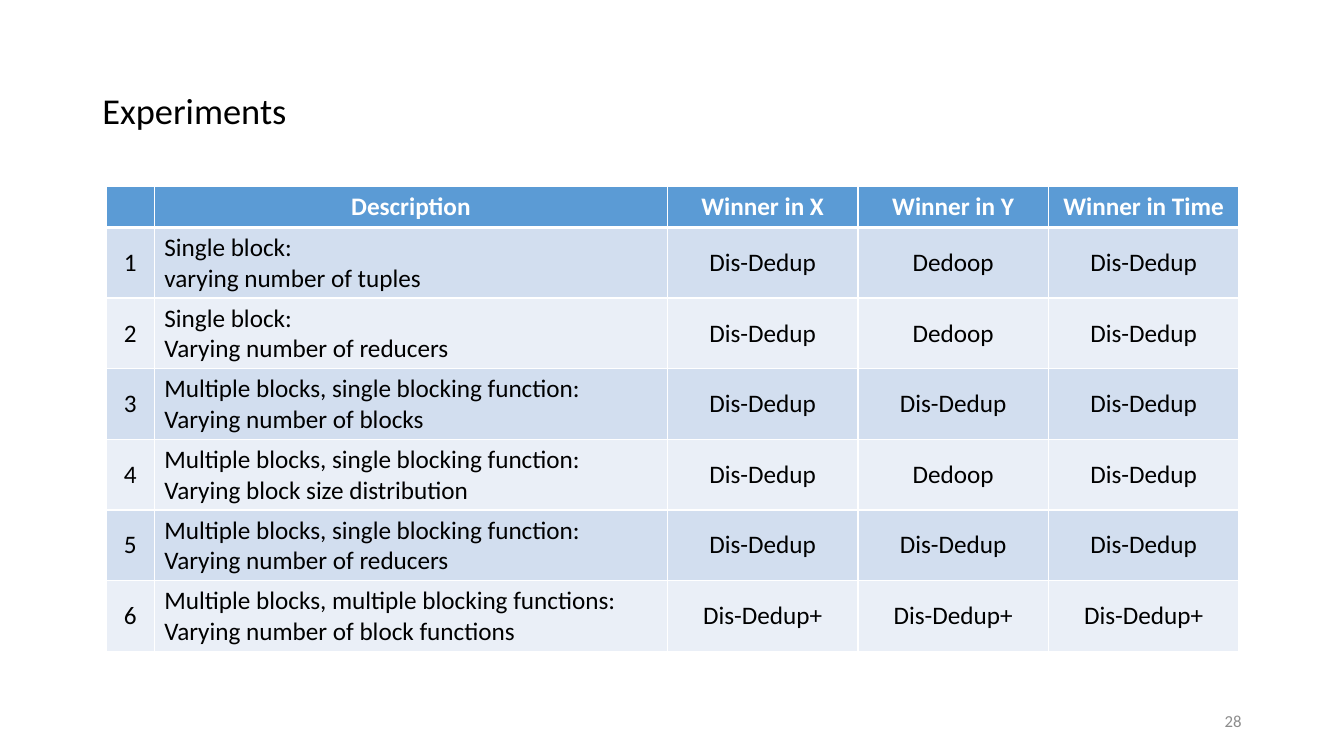
from lxml import etree
from pptx import Presentation
from pptx.dml.color import RGBColor
from pptx.enum.text import MSO_ANCHOR, PP_ALIGN
from pptx.oxml.ns import qn
from pptx.util import Cm, Pt

LEFT, CENTER, RIGHT = PP_ALIGN.LEFT, PP_ALIGN.CENTER, PP_ALIGN.RIGHT
MIDDLE = MSO_ANCHOR.MIDDLE
FONT = "Calibri"
COLORS = {
    "text": "000000",
    "white": "FFFFFF",
    "number": "8C8C8C",
    "header": "5B9BD5",
    "odd": "D2DEEF",
    "even": "EAEFF7",
}
COLUMN_WIDTHS = [1.22, 12.93, 4.8, 4.8, 4.8]
HEADER_HEIGHT, ROW_HEIGHT = 1.03, 1.78
HEADER = ["", "Description", "Winner in X", "Winner in Y", "Winner in Time"]
SINGLE = "Single block:"
MULTIPLE = "Multiple blocks, single blocking function:"
FUNCTIONS = "Multiple blocks, multiple blocking functions:"
DIS, DEDOOP, PLUS = "Dis-Dedup", "Dedoop", "Dis-Dedup+"
EXPERIMENTS = [
    (SINGLE, "varying number of tuples", DIS, DEDOOP, DIS),
    (SINGLE, "Varying number of reducers", DIS, DEDOOP, DIS),
    (MULTIPLE, "Varying number of blocks", DIS, DIS, DIS),
    (MULTIPLE, "Varying block size distribution", DIS, DEDOOP, DIS),
    (MULTIPLE, "Varying number of reducers", DIS, DIS, DIS),
    (FUNCTIONS, "Varying number of block functions", PLUS, PLUS, PLUS),
]


class SlideBuilder:
    """Draws styled text and tables on one slide."""

    def __init__(self, slide):
        self.slide = slide

    def style_text(self, paragraph, text, size, color="text", align=LEFT, bold=False, spacing=1.0):
        paragraph.text = text
        for name, value in {"alignment": align, "line_spacing": spacing}.items():
            setattr(paragraph, name, value)
        for name, value in {"name": FONT, "size": Pt(size), "bold": bold}.items():
            setattr(paragraph.font, name, value)
        paragraph.font.color.rgb = RGBColor.from_string(COLORS[color])

    def text(self, box, text, size, **style):
        shape = self.slide.shapes.add_textbox(*map(Cm, box))
        frame = shape.text_frame
        for name, value in {"word_wrap": True, "vertical_anchor": MIDDLE}.items():
            setattr(frame, name, value)
        self.style_text(frame.paragraphs[0], text, size, **style)

    def borders(self, cell, bottom):
        properties = cell._tc.get_or_add_tcPr()
        widths = {"a:lnL": 1, "a:lnR": 1, "a:lnT": 1, "a:lnB": bottom}
        for index, (tag, width) in enumerate(widths.items()):
            line = etree.Element(qn(tag), w=str(Pt(width)))
            fill = etree.SubElement(line, qn("a:solidFill"))
            etree.SubElement(fill, qn("a:srgbClr"), val=COLORS["white"])
            properties.insert(index, line)

    def cell(self, cell, text, fill, bottom=1, **style):
        cell.vertical_anchor = MIDDLE
        cell.fill.solid()
        cell.fill.fore_color.rgb = RGBColor.from_string(COLORS[fill])
        self.borders(cell, bottom)
        self.style_text(cell.text_frame.paragraphs[0], text, 18, **style)

    def table(self, left, top, rows):
        height = HEADER_HEIGHT + ROW_HEIGHT * (len(rows) - 1)
        box = map(Cm, (left, top, sum(COLUMN_WIDTHS), height))
        table = self.slide.shapes.add_table(len(rows), len(COLUMN_WIDTHS), *box).table
        table.horz_banding = False
        for column, width in zip(table.columns, COLUMN_WIDTHS):
            column.width = Cm(width)
        for row_index, values in enumerate(rows):
            is_header = row_index == 0
            table.rows[row_index].height = Cm(HEADER_HEIGHT if is_header else ROW_HEIGHT)
            for column_index, text in enumerate(values):
                cell = table.cell(row_index, column_index)
                if is_header:
                    self.cell(cell, text, "header", bottom=3,
                              color="white", align=CENTER, bold=True)
                else:
                    self.cell(cell, text, "odd" if row_index % 2 else "even",
                              bottom=1, align=LEFT if column_index == 1 else CENTER)


def main():
    presentation = Presentation()
    presentation.slide_width, presentation.slide_height = Cm(33.87), Cm(19.05)
    slide = presentation.slides.add_slide(presentation.slide_layouts[6])
    builder = SlideBuilder(slide)
    builder.text((2.33, 1.01, 29.21, 3.68), "Experiments", 26, spacing=0.9)
    rows = [HEADER]
    for number, (blocks, variation, *winners) in enumerate(EXPERIMENTS, 1):
        rows.append([str(number), f"{blocks}\v{variation}", *winners])
    builder.table(2.67, 4.7, rows)
    builder.text((23.92, 17.66, 7.62, 1.01), "28", 12, color="number", align=RIGHT)
    presentation.save("out.pptx")


if __name__ == "__main__":
    main()
